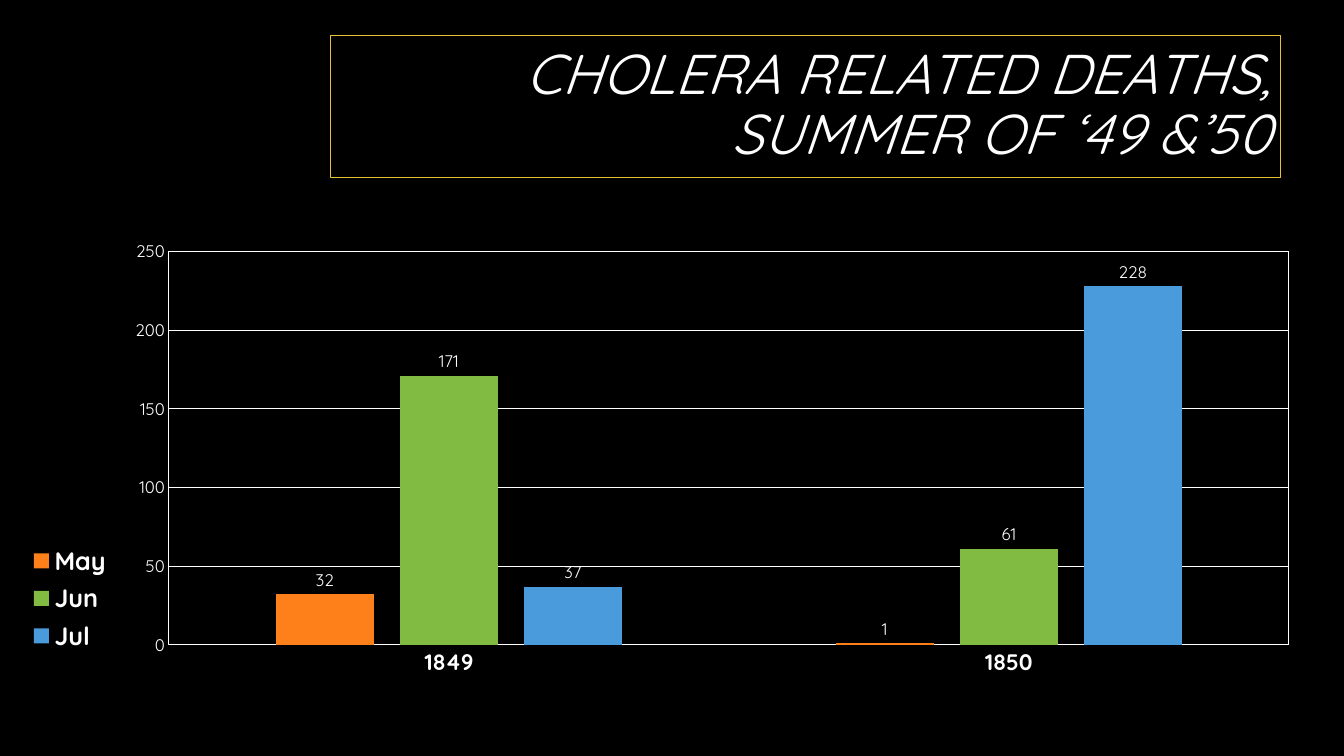
from lxml import etree
from pptx import Presentation
from pptx.chart.data import CategoryChartData as ChartData
from pptx.dml.color import RGBColor as RGB
from pptx.enum.chart import XL_CHART_TYPE as ChartType, XL_LABEL_POSITION as LabelPos
from pptx.enum.chart import XL_LEGEND_POSITION as LegendPos, XL_TICK_MARK as Tick
from pptx.enum.text import MSO_ANCHOR as Anchor, PP_ALIGN as Align
from pptx.oxml import parse_xml
from pptx.oxml.ns import nsdecls, qn
from pptx.util import Inches, Pt

WHITE = "FFFFFF"


def paint(part, color):
    part.solid()
    part.fore_color.rgb = RGB.from_string(color)


def style(font, size, bold=False):
    font.name = "Quicksand"
    font.size = Pt(size)
    font.bold = bold
    font.color.rgb = RGB.from_string(WHITE)


deck = Presentation()
deck.slide_width, deck.slide_height = Inches(13.33), Inches(7.5)
slide = deck.slides.add_slide(deck.slide_layouts[6])
paint(slide.background.fill, "000000")

# Title
title = slide.shapes.add_textbox(Inches(3.28), Inches(0.35), Inches(9.42), Inches(1.41))
paint(title.line.fill, "E9BF35")
title.line.width = Pt(0.75)
frame = title.text_frame
frame.word_wrap = True
frame.vertical_anchor = Anchor.MIDDLE
para = frame.paragraphs[0]
para.alignment = Align.RIGHT
para.line_spacing = 0.9
run = para.add_run()
run.text = "CHOLERA RELATED DEATHS, SUMMER OF ‘49 &’50"
style(run.font, 40)
run.font.italic = True

# Chart data
months = [
    ("May", (32, 1), "FE801A"),
    ("Jun", (171, 61), "81BB42"),
    ("Jul", (37, 228), "4A9BDC"),
]
data = ChartData()
data.categories = ["1849", "1850"]
for name, deaths, color in months:
    data.add_series(name, deaths)
chart = slide.shapes.add_chart(
    ChartType.COLUMN_CLUSTERED,
    Inches(-0.29), Inches(1.87), Inches(13.1), Inches(4.9), data,
).chart
chart.has_title = False
style(chart.font, 10)

# Columns and labels
plot = chart.plots[0]
plot.gap_width, plot.overlap = 219, -27
plot.vary_by_categories = False
for bars, (name, deaths, color) in zip(plot.series, months):
    paint(bars.format.fill, color)
    bars.invert_if_negative = False
    labels = bars.data_labels
    labels.show_value = True
    labels.position = LabelPos.OUTSIDE_END
    style(labels.font, 12)

# Axes
years, count = chart.category_axis, chart.value_axis
for axis in (years, count):
    axis.major_tick_mark = axis.minor_tick_mark = Tick.NONE
style(years.tick_labels.font, 16, True)
style(count.tick_labels.font, 12)
count.minimum_scale, count.maximum_scale, count.major_unit = 0, 250, 50
count.has_major_gridlines = True
for line in (years.format.line, count.major_gridlines.format.line):
    paint(line.fill, WHITE)
    line.width = Pt(0.75)
count.format.line.fill.background()

# Legend
chart.has_legend = True
chart.legend.position = LegendPos.RIGHT
chart.legend.include_in_layout = False
style(chart.legend.font, 18, True)

# Fixed places for the plot and the legend, as shares of the chart
area = chart.element.find(".//" + qn("c:plotArea"))
legend = chart.element.find(".//" + qn("c:legend"))
places = [
    (area, 0, '<c:layoutTarget val="inner"/>', (0.15, 0.128, 0.848, 0.796)),
    (legend, 1, "", (0.04, 0.71, 0.07, 0.24)),
]
for node, index, target, box in places:
    for old in node.findall(qn("c:layout")):
        node.remove(old)
    modes = '<c:xMode val="edge"/><c:yMode val="edge"/>'
    sizes = "".join(f'<c:{key} val="{share}"/>' for key, share in zip("xywh", box))
    node.insert(index, parse_xml(
        f'<c:layout {nsdecls("c")}><c:manualLayout>{target}{modes}{sizes}'
        "</c:manualLayout></c:layout>"))

# Plot border
border = etree.SubElement(area, qn("c:spPr"))
border.append(parse_xml(
    f'<a:ln {nsdecls("a")} w="{Pt(0.75)}"><a:solidFill><a:srgbClr val="{WHITE}"/>'
    "</a:solidFill></a:ln>"))

deck.save("out.pptx")
